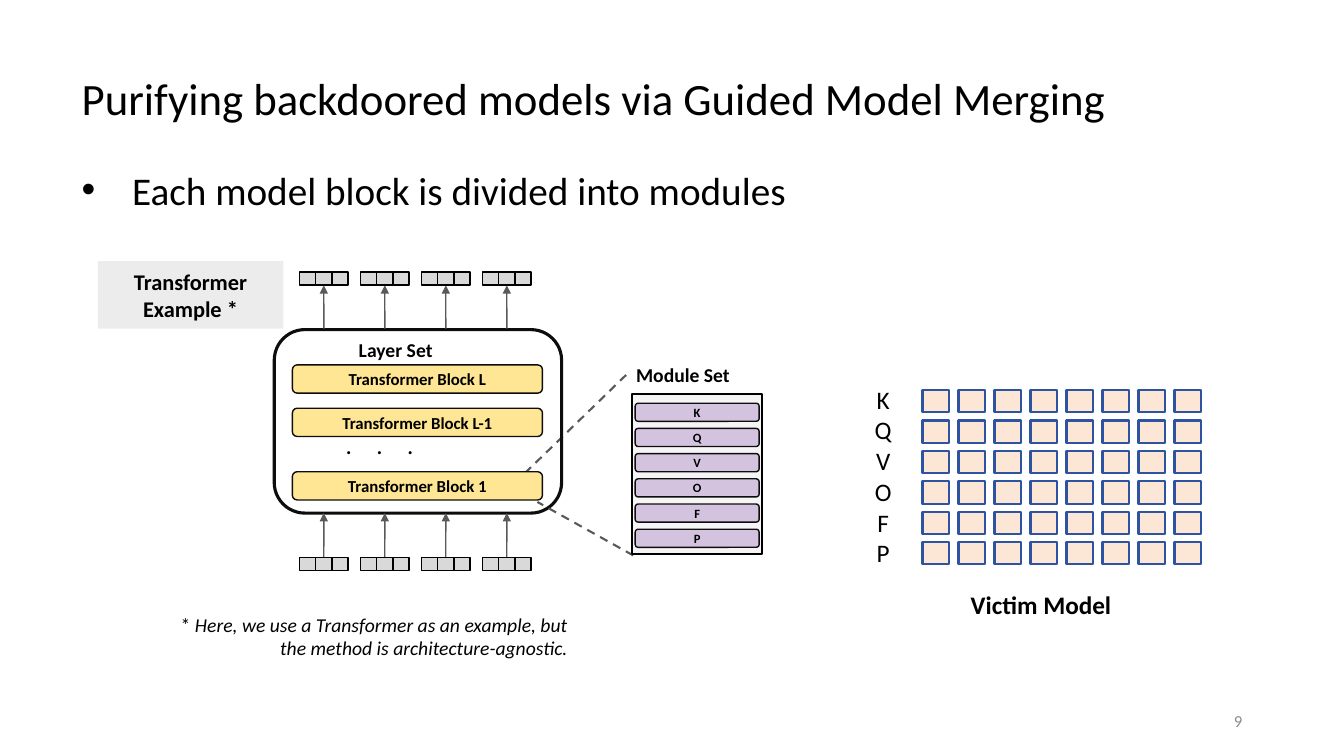
import dataclasses
import typing

import pptx
import pptx.dml.color
import pptx.enum.dml
import pptx.enum.shapes
import pptx.enum.text
import pptx.oxml
import pptx.oxml.ns
import pptx.util

CELL = pptx.util.Inches(0.1)  # one grid column or row
FONT = "Calibri"
HUES = {
    "black": "000000", "ink": "0D0D0D", "line": "595959", "page": "8C8C8C",
    "grey": "D9D9D9", "gold": "FEE695", "plum": "7030A0",
    "peach": "FCE6D5", "blue": "2E54A1",
}
KINDS = pptx.enum.shapes.MSO_SHAPE
ALIGN = pptx.enum.text.PP_ALIGN
MIDDLE = pptx.enum.text.MSO_ANCHOR.MIDDLE
TOP = pptx.enum.text.MSO_ANCHOR.TOP
NAMES = "KQVOFP"


@dataclasses.dataclass
class Area:
    """A place on the grid, in columns and rows."""
    x: float
    y: float
    w: float
    h: float

    def emus(self) -> list[int]:
        return [round(n * CELL) for n in (self.x, self.y, self.w, self.h)]


@dataclasses.dataclass
class Style:
    fill: str | None = None
    line: str | None = None
    width: float = 1
    alpha: int = 100
    kind: typing.Any = KINDS.RECTANGLE


LAYER = Style(None, "ink", 2.25, kind=KINDS.ROUNDED_RECTANGLE)
BLOCK = Style("gold", "ink", kind=KINDS.ROUNDED_RECTANGLE)
PART = Style("plum", "ink", alpha=25, kind=KINDS.ROUNDED_RECTANGLE)
FRAME = Style("grey", "black", 1.5, alpha=25)
TOKEN = Style("grey", "black")
VICTIM = Style("peach", "blue", 1.5)
BADGE = Style("grey", alpha=48)

deck = pptx.Presentation()
deck.slide_width = pptx.util.Inches(13.33)
deck.slide_height = pptx.util.Inches(7.5)
slide = deck.slides.add_slide(deck.slide_layouts[1])


def hue(name: str) -> pptx.dml.color.RGBColor:
    return pptx.dml.color.RGBColor.from_string(HUES[name])


def node(tag: str, **attrs: str) -> typing.Any:
    item = pptx.oxml.parse_xml(f"<a:{tag} {pptx.oxml.ns.nsdecls('a')}/>")
    for key, value in attrs.items():
        item.set(key, value)
    return item


def write(shape: typing.Any, text: str, size: float, color: str = "black",
          bold: bool = False, slant: bool = False, align: typing.Any = ALIGN.LEFT,
          anchor: typing.Any = MIDDLE, space: float | None = None) -> typing.Any:
    """Add a run to the shape's first paragraph."""
    frame = shape.text_frame
    frame.word_wrap = True
    frame.vertical_anchor = anchor
    para = frame.paragraphs[0]
    para.alignment = align
    if space:
        para.line_spacing = space
        para.space_before = pptx.util.Pt(0)
    run = para.add_run()
    run.text = text
    font = run.font
    font.name, font.size = FONT, pptx.util.Pt(size)
    font.bold, font.italic = bold, slant
    font.color.rgb = hue(color)
    return run


def label(area: Area, text: str, size: float, **form: typing.Any) -> typing.Any:
    box = slide.shapes.add_textbox(*area.emus())
    write(box, text, size, **{"anchor": TOP, **form})
    return box


def draw(area: Area, style: Style, text: str = "", size: float = 12) -> typing.Any:
    shape = slide.shapes.add_shape(style.kind, *area.emus())
    shape.shadow.inherit = False
    if style.fill:
        shape.fill.solid()
        shape.fill.fore_color.rgb = hue(style.fill)
        if style.alpha < 100:
            tint = shape.element.spPr.find(".//" + pptx.oxml.ns.qn("a:srgbClr"))
            tint.append(node("alpha", val=str(style.alpha * 1000)))
    else:
        shape.fill.background()
    if style.line:
        shape.line.color.rgb = hue(style.line)
        shape.line.width = pptx.util.Pt(style.width)
    else:
        shape.line.fill.background()
    if text:
        write(shape, text, size, bold=True, align=ALIGN.CENTER)
    return shape


def link(x1: float, y1: float, x2: float, y2: float, width: float = 1,
         dash: bool = False, head: bool = False) -> typing.Any:
    ends = [round(n * CELL) for n in (x1, y1, x2, y2)]
    line = slide.shapes.add_connector(pptx.enum.shapes.MSO_CONNECTOR.STRAIGHT, *ends)
    line.line.color.rgb = hue("line")
    line.line.width = pptx.util.Pt(width)
    if dash:
        line.line.dash_style = pptx.enum.dml.MSO_LINE.DASH
    if head:
        line.line._get_or_add_ln().append(node("tailEnd", type="triangle"))
    line.element.spPr.append(node("effectLst"))
    return line


def place(shape: typing.Any, area: Area) -> None:
    shape.left, shape.top, shape.width, shape.height = area.emus()


def tokens(x: float, y: float) -> typing.Any:
    """Draw three joined cells and return the middle one."""
    return [draw(Area(x + 1.61 * i, y, 1.61, 1.3), TOKEN) for i in range(3)][1]


# Title, bullet and page number
title, body = slide.shapes.title, slide.placeholders[1]
place(title, Area(7.1, 2.8, 115, 14.5))
write(title, "Purifying backdoored models via Guided Model Merging", 32, space=0.9)
place(body, Area(7.1, 13.6, 124.9, 11.3))
write(body, "Each model block is divided into modules", 28, space=0.8)
props = body.text_frame.paragraphs[0]._p.get_or_add_pPr()
props.set("marL", str(5 * CELL))
props.set("indent", str(-5 * CELL))
props.append(node("buChar", char="•"))
label(Area(94.2, 69.5, 30, 4), "9", 12, color="page", align=ALIGN.RIGHT, anchor=MIDDLE)

# Victim model: one row of cells per module
for row, name in enumerate(NAMES):
    label(Area(85.6, 37.6 + 3.05 * row, 4, 4), name, 18, align=ALIGN.CENTER)
    for col in range(8):
        draw(Area(91.5 + 3.57 * col, 38.7 + 3.02 * row, 2.6, 2.2), VICTIM)
label(Area(95.3, 58, 20.3, 4.9), "Victim Model", 18, bold=True)

# Layer set
link(62.1, 37.2, 51.9, 47.1, 1.5, dash=True)
draw(Area(27.2, 32.7, 28.5, 18.2), LAYER)
for top, mark in ((36.2, "L"), (40.5, "L-1"), (46.8, "1")):
    draw(Area(29, top, 24.8, 2.8), BLOCK, f"Transformer Block {mark}")
label(Area(34.6, 33, 18.3, 3.4), "Layer Set", 14, bold=True)
dots = label(Area(33.3, 42.1, 12, 4), "...", 18)
dots.text_frame.paragraphs[0].runs[0].font._element.set("spc", "1740")

# Tokens above and below the layer set, with their arrows
for col in range(4):
    left = 29.7 + 6.05 * col
    mid = left + 2.42
    up = link(mid, 32.6, mid, 28.3, head=True)
    up.end_connect(tokens(left, 27), 2)
    feed = link(mid, 55.3, mid, 50.9, head=True)
    feed.begin_connect(tokens(left, 55.3), 0)

# Module set
link(62.8, 55.1, 53.3, 49.8, 1.5, dash=True)
draw(Area(62.7, 39.1, 12.9, 15.9), FRAME)
for row, name in enumerate(NAMES):
    draw(Area(63, 40 + 2.5 * row, 12.3, 1.8), PART, name, 9)
label(Area(62.1, 35.5, 14.8, 3.4), "Module Set", 14, bold=True)

# Badge and footnote
draw(Area(9.7, 25.9, 18.4, 6.7), BADGE, "Transformer Example *", 16)
note = label(Area(16.2, 60.3, 41.1, 5.7), "* ", 14, align=ALIGN.RIGHT)
write(note, "Here, we use a Transformer as an example, but the method is "
      "architecture-agnostic.", 14, slant=True, align=ALIGN.RIGHT, anchor=TOP)

deck.save("out.pptx")
